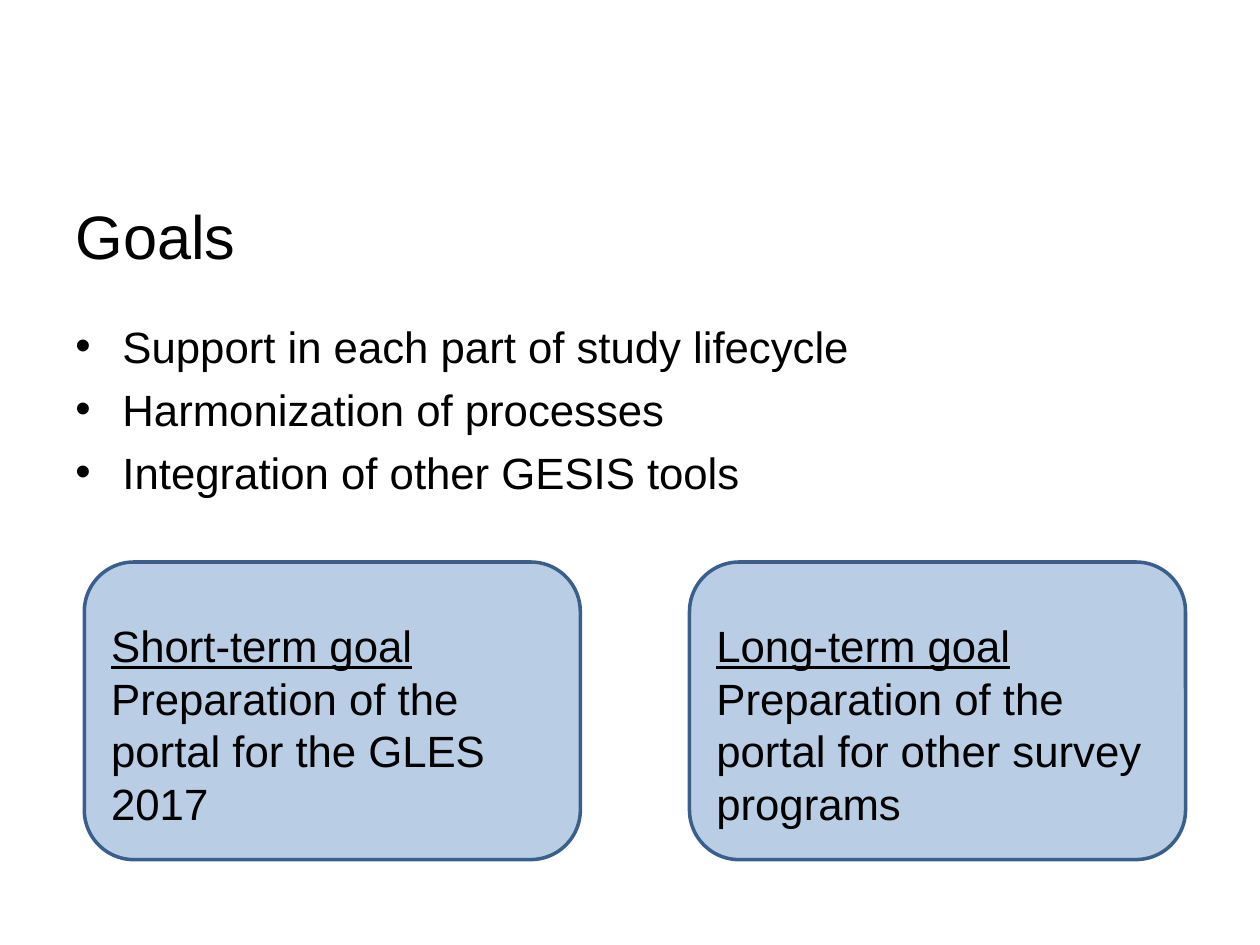
import pptx
import pptx.util
import pptx.dml.color
import pptx.enum.shapes
import pptx.enum.text
from lxml import etree
from pptx.oxml.ns import qn

Cm, Pt = pptx.util.Cm, pptx.util.Pt
ALIGN = pptx.enum.text.PP_ALIGN
MIDDLE = pptx.enum.text.MSO_ANCHOR.MIDDLE
COLORS = {"text": "000000", "box": "B9CDE5", "border": "3A5F8C"}


def rgb(name):
    return pptx.dml.color.RGBColor.from_string(COLORS[name])


def format_text(p, size):
    p.alignment = ALIGN.LEFT
    for r in p.runs:
        r.font.name = "Arial"
        r.font.size = Pt(size)
        r.font.color.rgb = rgb("text")


prs = pptx.Presentation()
prs.slide_width, prs.slide_height = Cm(25.4), Cm(19.05)
s = prs.slides.add_slide(prs.slide_layouts[5])

# Title
title = s.shapes.title
title.left, title.top, title.width, title.height = Cm(1.27), Cm(3.15), Cm(22.86), Cm(3.18)
title.text_frame.text = "Goals"
title.text_frame.vertical_anchor = MIDDLE
format_text(title.text_frame.paragraphs[0], 35)

# Bullet list
bullets = [
    "Support in each part of study lifecycle",
    "Harmonization of processes",
    "Integration of other GESIS tools",
]
sp = s.shapes.add_textbox(Cm(1.27), Cm(6.32), Cm(22.86), Cm(4.4))
tf = sp.text_frame
tf.word_wrap = True
for i, text in enumerate(bullets):
    p = tf.paragraphs[0] if i == 0 else tf.add_paragraph()
    p.text = text
    pPr = p._p.get_or_add_pPr()
    pPr.set("marL", str(Cm(0.95)))
    pPr.set("indent", str(-Cm(0.95)))
    etree.SubElement(pPr, qn("a:buFont"), typeface="Arial")
    etree.SubElement(pPr, qn("a:buChar"), char="•")
    if i:
        p.space_before = Pt(6)
    format_text(p, 25)

# Goal boxes
goals = [
    ("Short-term goal", "Preparation of the portal for the GLES 2017"),
    ("Long-term goal", "Preparation of the portal for other survey programs"),
]
for i, (heading, body) in enumerate(goals):
    sp = s.shapes.add_shape(
        pptx.enum.shapes.MSO_SHAPE.ROUNDED_RECTANGLE,
        Cm(1.7 + i * 12.2), Cm(11.33), Cm(10), Cm(6),
    )
    sp.shadow.inherit = False
    sp.fill.solid()
    sp.fill.fore_color.rgb = rgb("box")
    sp.line.color.rgb = rgb("border")
    sp.line.width = Pt(2)
    tf = sp.text_frame
    tf.word_wrap = True
    tf.vertical_anchor = MIDDLE
    tf.text = f"{heading}\n{body}"
    for p in tf.paragraphs:
        format_text(p, 25)
    tf.paragraphs[0].line_spacing = 1.5
    tf.paragraphs[0].runs[0].font.underline = True

prs.save("out.pptx")
